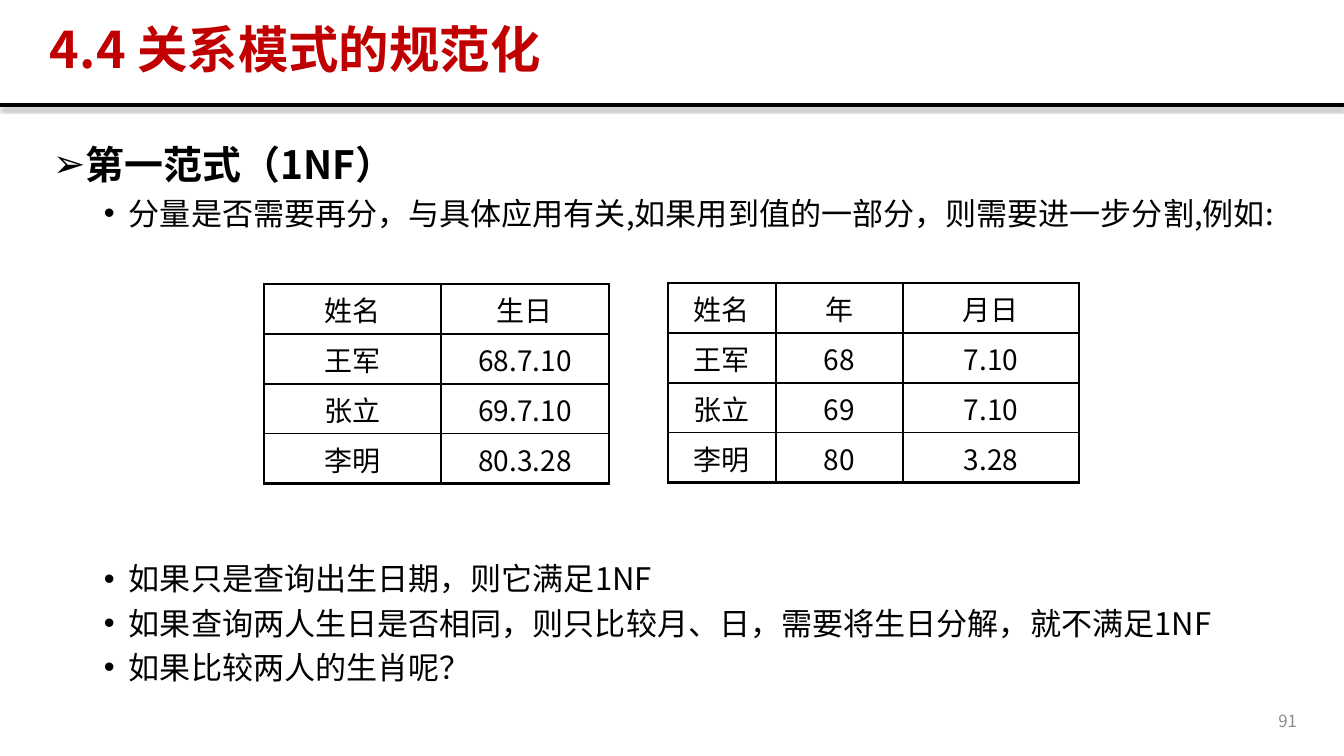
from dataclasses import dataclass
from lxml import etree
from pptx import Presentation
from pptx.dml.color import RGBColor
from pptx.enum.shapes import MSO_CONNECTOR
from pptx.enum.text import MSO_ANCHOR, PP_ALIGN
from pptx.oxml.ns import qn
from pptx.util import Pt

LEFT, CENTER, RIGHT, JUSTIFY = PP_ALIGN.LEFT, PP_ALIGN.CENTER, PP_ALIGN.RIGHT, PP_ALIGN.JUSTIFY
TOP, MIDDLE = MSO_ANCHOR.TOP, MSO_ANCHOR.MIDDLE
STRAIGHT = MSO_CONNECTOR.STRAIGHT

# Content
TITLE = "4.4 关系模式的规范化"
PAGE_NUMBER = "91"
HEADING = "第一范式（1NF）"
INTRODUCTION = "分量是否需要再分，与具体应用有关,如果用到值的一部分，则需要进一步分割,例如:"
CONCLUSIONS = [
    "如果只是查询出生日期，则它满足1NF",
    "如果查询两人生日是否相同，则只比较月、日，需要将生日分解，就不满足1NF",
    "如果比较两人的生肖呢？",
]
TABLES = [
    {"left": 264, "top": 284, "columns": [177, 168],
     "rows": [("姓名", "生日"), ("王军", "68.7.10"), ("张立", "69.7.10"), ("李明", "80.3.28")]},
    {"left": 668, "top": 283, "columns": [108, 127, 176],
     "rows": [("姓名", "年", "月日"), ("王军", "68", "7.10"),
              ("张立", "69", "7.10"), ("李明", "80", "3.28")]},
]


@dataclass(frozen=True)
class Theme:
    font: str = "Noto Sans CJK SC"
    bullet_font: str = "Arial"
    text: str = "000000"
    title: str = "C00000"
    muted: str = "8C8C8C"
    title_size: float = 36
    heading_size: float = 27.8
    body_size: float = 22.2
    cell_size: float = 20
    number_size: float = 12
    outer_border: float = 2.25
    inner_border: float = 1


THEME = Theme()

# Geometry in px
SLIDE_WIDTH, SLIDE_HEIGHT = 1344, 756
RULE_Y = 105
BODY_LEFT, BODY_WIDTH = 43, 1250
ROW_HEIGHT = 50
HANGING = 25
HEADING_INDENT, BULLET_INDENT = 25, 76


def px(value):
    return round(value * 914400 / 100.8)


def add_run(paragraph, text, size, color=THEME.text, bold=False):
    run = paragraph.add_run()
    run.text = text
    run.font.size = Pt(size)
    run.font.bold = bold
    run.font.color.rgb = RGBColor.from_string(color)
    run.font.name = THEME.font
    etree.SubElement(run.font._element, qn("a:ea"), typeface=THEME.font)


def add_box(slide, left, top, width, height, anchor=TOP):
    box = slide.shapes.add_textbox(px(left), px(top), px(width), px(height))
    frame = box.text_frame
    frame.word_wrap = True
    frame.vertical_anchor = anchor
    return frame


def add_label(slide, area, text, size, color, alignment, bold=False):
    paragraph = add_box(slide, *area, anchor=MIDDLE).paragraphs[0]
    paragraph.alignment = alignment
    add_run(paragraph, text, size, color, bold)
    return paragraph


def format_bullet(paragraph, symbol, indent):
    paragraph.alignment = JUSTIFY
    properties = paragraph._p.get_or_add_pPr()
    properties.set("marL", str(px(indent)))
    properties.set("indent", str(-px(HANGING)))
    etree.SubElement(properties, qn("a:buFont"), typeface=THEME.bullet_font)
    etree.SubElement(properties, qn("a:buChar"), char=symbol)


def add_bullets(frame, texts):
    for text in texts:
        first = not frame.paragraphs[0].runs
        paragraph = frame.paragraphs[0] if first else frame.add_paragraph()
        paragraph.level = 1
        format_bullet(paragraph, "•", BULLET_INDENT)
        if not first:
            paragraph.space_before = Pt(5)
        add_run(paragraph, text, THEME.body_size)


def add_rule(slide):
    rule = slide.shapes.add_connector(STRAIGHT, 0, px(RULE_Y), px(SLIDE_WIDTH), px(RULE_Y))
    rule.line.width = Pt(3)
    rule.line.color.rgb = RGBColor.from_string(THEME.text)
    effects = etree.SubElement(rule._element.spPr, qn("a:effectLst"))
    shadow = etree.SubElement(effects, qn("a:outerShdw"), blurRad=str(Pt(3.1)),
                              dist=str(Pt(1.8)), dir="5400000", rotWithShape="0")
    color = etree.SubElement(shadow, qn("a:srgbClr"), val=THEME.text)
    etree.SubElement(color, qn("a:alpha"), val="35000")


def set_borders(cell, outer_sides):
    properties = cell._tc.get_or_add_tcPr()
    for side in "LRTB":
        width = THEME.outer_border if side in outer_sides else THEME.inner_border
        line = etree.SubElement(properties, qn(f"a:ln{side}"), w=str(Pt(width)))
        fill = etree.SubElement(line, qn("a:solidFill"))
        etree.SubElement(fill, qn("a:srgbClr"), val=THEME.text)


def add_data_table(slide, left, top, columns, rows):
    row_count, column_count = len(rows), len(columns)
    table = slide.shapes.add_table(row_count, column_count, px(left), px(top),
                                   px(sum(columns)), px(ROW_HEIGHT * row_count)).table
    table.first_row = table.horz_banding = False
    for column, width in zip(table.columns, columns):
        column.width = px(width)
    for row_index, values in enumerate(rows):
        table.rows[row_index].height = px(ROW_HEIGHT)
        for column_index, value in enumerate(values):
            cell = table.cell(row_index, column_index)
            edges = {"L": column_index == 0, "R": column_index == column_count - 1,
                     "T": row_index == 0, "B": row_index == row_count - 1}
            set_borders(cell, [side for side, outer in edges.items() if outer])
            cell.fill.background()
            paragraph = cell.text_frame.paragraphs[0]
            paragraph.alignment = CENTER
            add_run(paragraph, value, THEME.cell_size)


def main():
    presentation = Presentation()
    presentation.slide_width, presentation.slide_height = px(SLIDE_WIDTH), px(SLIDE_HEIGHT)
    slide = presentation.slides.add_slide(presentation.slide_layouts[6])

    # Header and page number
    add_rule(slide)
    title = add_label(slide, (40, 19, 1179, 66), TITLE, THEME.title_size,
                      THEME.title, LEFT, bold=True)
    title.line_spacing = 0.9
    add_label(slide, (1005, 701, 302, 40), PAGE_NUMBER, THEME.number_size, THEME.muted, RIGHT)

    # Heading with its introduction
    frame = add_box(slide, BODY_LEFT, 136, BODY_WIDTH, 160)
    heading = frame.paragraphs[0]
    format_bullet(heading, "➢", HEADING_INDENT)
    add_run(heading, HEADING, THEME.heading_size, bold=True)
    add_bullets(frame, [INTRODUCTION])

    # Conclusions below the tables
    add_bullets(add_box(slide, BODY_LEFT, 555, BODY_WIDTH, 160), CONCLUSIONS)

    # Tables before and after splitting the birthday
    for table in TABLES:
        add_data_table(slide, **table)

    presentation.save("out.pptx")


if __name__ == "__main__":
    main()
